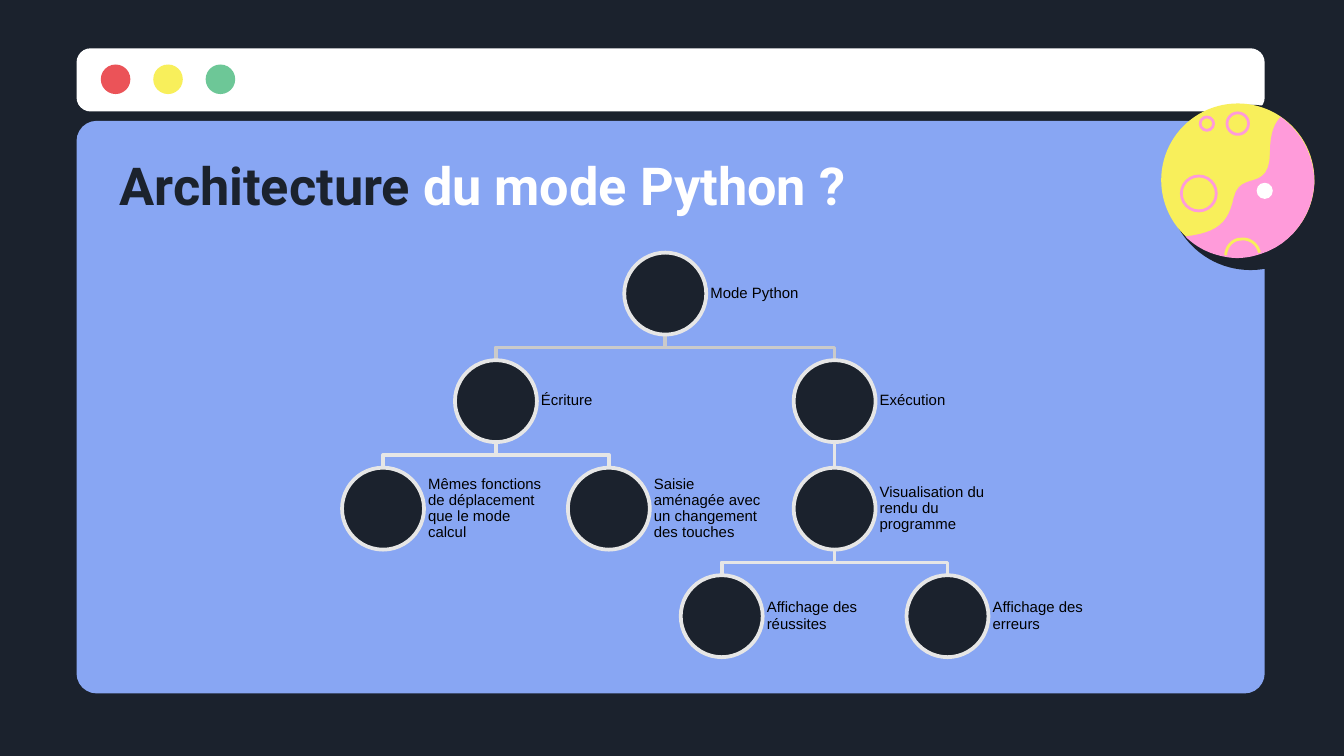
from dataclasses import dataclass

from lxml import etree
from pptx import Presentation
from pptx import util as u
from pptx.dml.color import RGBColor
from pptx.enum import shapes, text
from pptx.oxml.ns import qn

INK, BLUE, WHITE = "1B222D", "88A6F3", "FFFFFF"
RED, YELLOW, GREEN, PINK = "EB5358", "F8EF5B", "6DC797", "FF9BDA"
LIGHT, GREY = "E6E6E6", "CACACA"
OVAL = shapes.MSO_SHAPE.OVAL
ROUNDED = shapes.MSO_SHAPE.ROUNDED_RECTANGLE

SLIDE_WIDTH = 10
SLIDE_HEIGHT = SLIDE_WIDTH * 9 / 16
DIAMETER = 0.61
RADIUS = DIAMETER / 2
ROOT_X, ROOT_TOP = 4.95, 1.88
COLUMN, ROW = 0.42, 0.8


@dataclass
class Node:
    label: str
    column: int
    row: int
    parent: int | None = None

    @property
    def x(self) -> float:
        return ROOT_X + self.column * COLUMN

    @property
    def top(self) -> float:
        return ROOT_TOP + self.row * ROW

    @property
    def bottom(self) -> float:
        return self.top + DIAMETER


@dataclass
class Circle:
    x: float
    y: float
    radius: float
    color: str


NODES = [
    Node("Mode Python", 0, 0),
    Node("Écriture", -3, 1, 0),
    Node("Exécution", 3, 1, 0),
    Node("Mêmes fonctions de déplacement que le mode calcul", -5, 2, 1),
    Node("Saisie aménagée avec un changement des touches", -1, 2, 1),
    Node("Visualisation du rendu du programme", 3, 2, 2),
    Node("Affichage des réussites", 1, 3, 5),
    Node("Affichage des erreurs", 5, 3, 5),
]
BUTTONS = [Circle(0.86 + i * 0.39, 0.59, 0.11, c) for i, c in enumerate((RED, YELLOW, GREEN))]
CRATERS = [
    Circle(9.21, 0.92, 0.08, PINK),
    Circle(8.92, 1.44, 0.13, PINK),
    Circle(8.98, 0.92, 0.05, PINK),
]
LAND = [
    (9.53, 0.87),
    (9.61, 0.93), (9.69, 1.02), (9.73, 1.12),
    (9.76, 1.19), (9.78, 1.27), (9.78, 1.36),
    (9.77, 1.6), (9.61, 1.82), (9.38, 1.89),
    (9.29, 1.92), (9.2, 1.93), (9.11, 1.91),
    (9.0, 1.89), (8.9, 1.84), (8.82, 1.76),
    (9.06, 1.73), (9.14, 1.66), (9.18, 1.47),
    (9.23, 1.26), (9.45, 1.44), (9.45, 1.13),
    (9.45, 0.98), (9.49, 0.91), (9.53, 0.87),
]
RIM = [
    (9.12, 1.9),
    (9.12, 1.84), (9.17, 1.78), (9.23, 1.78),
    (9.3, 1.77), (9.36, 1.82), (9.37, 1.88),
]


def rgb(color: str) -> RGBColor:
    return RGBColor.from_string(color)


def style(sp, fill: str | None, line: str | None = None, width: float = 2) -> None:
    sp.shadow.inherit = False
    if fill:
        sp.fill.solid()
        sp.fill.fore_color.rgb = rgb(fill)
    else:
        sp.fill.background()
    if line:
        sp.line.color.rgb = rgb(line)
        sp.line.width = u.Pt(width)
    else:
        sp.line.fill.background()


def add_shape(s, kind, x: float, y: float, w: float, h: float, fill: str | None,
              line: str | None = None, width: float = 2):
    sp = s.shapes.add_shape(kind, u.Inches(x), u.Inches(y), u.Inches(w), u.Inches(h))
    style(sp, fill, line, width)
    return sp


def add_circle(s, c: Circle, outlined: bool = False) -> None:
    fill, line = (None, c.color) if outlined else (c.color, None)
    add_shape(s, OVAL, c.x - c.radius, c.y - c.radius, 2 * c.radius, 2 * c.radius,
              fill, line, 1.5)


def add_path(s, points: list, close: bool, fill: str | None, line: str | None = None,
             width: float = 2) -> None:
    start, *rest = [(u.Inches(x), u.Inches(y)) for x, y in points]
    builder = s.shapes.build_freeform(*start)
    builder.add_line_segments(rest, close=close)
    style(builder.convert_to_shape(), fill, line, width)


def flatten(curve: list, steps: int = 12) -> list:
    points = [curve[0]]
    for i in range(0, len(curve) - 1, 3):
        a, b, c, d = curve[i:i + 4]
        for k in range(1, steps + 1):
            t = k / steps
            v = 1 - t
            points.append(tuple(
                v**3 * a[j] + 3 * v * v * t * b[j] + 3 * v * t * t * c[j] + t**3 * d[j]
                for j in (0, 1)
            ))
    return points


def add_text(s, x: float, y: float, w: float, h: float, runs: list, font: str, size: float,
             margin: float, spacing: float = 1, bold: bool = False) -> None:
    tf = s.shapes.add_textbox(u.Inches(x), u.Inches(y), u.Inches(w), u.Inches(h)).text_frame
    tf.word_wrap = True
    tf.vertical_anchor = text.MSO_ANCHOR.MIDDLE
    tf.margin_left = tf.margin_right = tf.margin_top = tf.margin_bottom = u.Inches(margin)
    p = tf.paragraphs[0]
    p.line_spacing = spacing
    p.font.name, p.font.size, p.font.bold = font, u.Pt(size), bold
    for content, color in runs:
        r = p.add_run()
        r.text = content
        r.font.color.rgb = rgb(color)


def add_link(s, parent: Node, child: Node) -> None:
    color = LIGHT if parent.row else GREY
    if parent.column == child.column:
        link = s.shapes.add_connector(
            shapes.MSO_CONNECTOR.STRAIGHT, u.Inches(parent.x), u.Inches(parent.bottom),
            u.Inches(child.x), u.Inches(child.top))
        link.line.color.rgb = rgb(color)
        link.line.width = u.Pt(2)
        etree.SubElement(link._element.spPr, qn("a:effectLst"))
        return
    middle = (parent.bottom + child.top) / 2
    add_path(s, [(parent.x, parent.bottom), (parent.x, middle), (child.x, middle),
                 (child.x, child.top)], False, None, color)


def add_node(s, node: Node) -> None:
    add_shape(s, OVAL, node.x - RADIUS, node.top, DIAMETER, DIAMETER, INK, LIGHT)
    add_text(s, node.x + RADIUS, node.top, 0.92, DIAMETER, [(node.label, "000000")],
             "Arial", 8, 0.03, 0.9)


def add_window(s) -> None:
    add_shape(s, ROUNDED, 0.57, 0.9, 8.84, 4.26, BLUE).adjustments[0] = 0.035
    add_shape(s, ROUNDED, 0.57, 0.36, 8.84, 0.47, WHITE).adjustments[0] = 0.223
    for button in BUTTONS:
        add_circle(s, button)


def add_planet(s) -> None:
    add_shape(s, OVAL, 8.69, 0.78, 1.23, 1.23, INK)
    add_shape(s, OVAL, 8.64, 0.77, 1.14, 1.14, YELLOW)
    for crater in CRATERS:
        add_circle(s, crater, outlined=True)
    add_path(s, flatten(LAND), True, PINK)
    add_path(s, flatten(RIM), False, None, YELLOW, 1.5)
    add_circle(s, Circle(9.41, 1.42, 0.06, WHITE))


def main() -> None:
    prs = Presentation()
    prs.slide_width, prs.slide_height = u.Inches(SLIDE_WIDTH), u.Inches(SLIDE_HEIGHT)
    s = prs.slides.add_slide(prs.slide_layouts[6])
    s.background.fill.solid()
    s.background.fill.fore_color.rgb = rgb(INK)
    add_window(s)
    add_planet(s)
    add_text(s, 0.79, 1.06, 8.43, 0.62, [("Architecture", INK), (" du mode Python ?", WHITE)],
             "Roboto", 28, 0.1, bold=True)
    for node in NODES:
        if node.parent is not None:
            add_link(s, NODES[node.parent], node)
    for node in NODES:
        add_node(s, node)
    prs.save("out.pptx")


if __name__ == "__main__":
    main()
